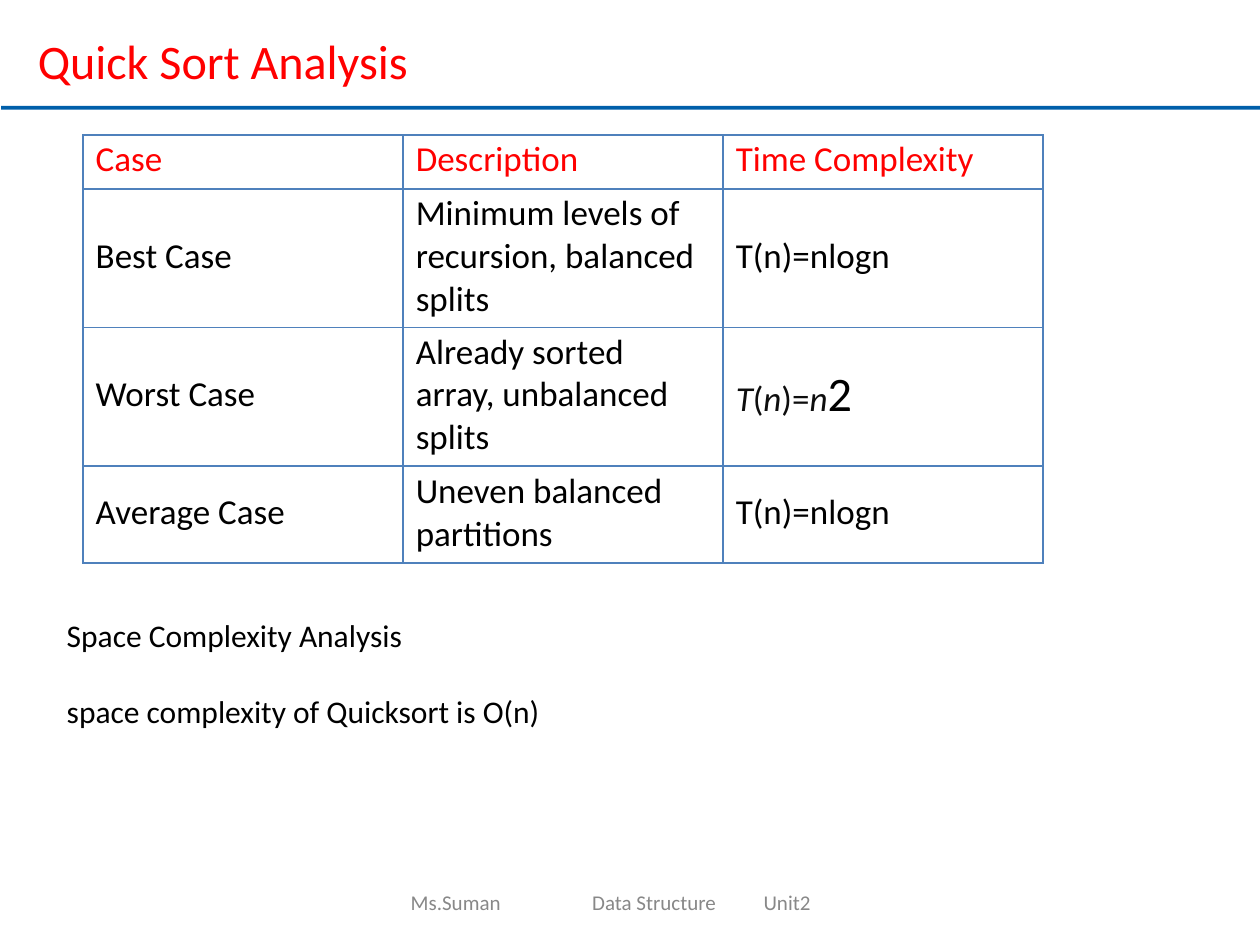
from dataclasses import dataclass

from lxml.etree import SubElement
from pptx import Presentation
from pptx.dml.color import RGBColor
from pptx.enum.shapes import MSO_SHAPE
from pptx.enum.text import MSO_ANCHOR, PP_ALIGN
from pptx.oxml.ns import qn
from pptx.util import Inches, Pt


@dataclass(frozen=True)
class Theme:
    font: str = "Calibri"
    red: str = "FF0000"
    black: str = "000000"
    formula: str = "0D0D0D"
    grey: str = "888888"
    rule: str = "005FAA"
    border: str = "4F81BC"
    title_size: float = 27.5
    table_size: float = 20
    body_size: float = 18
    footer_size: float = 12


theme = Theme()


def add_span(para, text, size, color, italic=False):
    span = para.add_run()
    span.text = text
    look = {"name": theme.font, "size": Pt(size), "bold": False, "italic": italic}
    for name, value in look.items():
        setattr(span.font, name, value)
    span.font.color.rgb = RGBColor.from_string(color)


def format_frame(frame, left, top, wrap=True):
    """Set the left and top insets, with none on the other sides."""
    look = {"margin_left": Inches(left), "margin_top": Inches(top),
            "margin_right": 0, "margin_bottom": 0,
            "word_wrap": wrap, "vertical_anchor": MSO_ANCHOR.TOP}
    for name, value in look.items():
        setattr(frame, name, value)


deck = Presentation()
deck.slide_width, deck.slide_height = Inches(10), Inches(7.5)
page = deck.slides.add_slide(deck.slide_layouts[5])

# Title and the rule below it
title = page.shapes.title
title.left, title.top = Inches(0.08), Inches(0.14)
title.width, title.height = Inches(9.17), Inches(0.63)
format_frame(title.text_frame, 0.22, 0.11)
para = title.text_frame.paragraphs[0]
para.alignment = PP_ALIGN.LEFT
add_span(para, "Quick Sort Analysis", theme.title_size, theme.red)

rule = page.shapes.add_shape(MSO_SHAPE.RECTANGLE, Inches(0.01), Inches(0.84),
                             Inches(9.99), Inches(0.03))
rule.shadow.inherit = False
rule.fill.solid()
rule.fill.fore_color.rgb = RGBColor.from_string(theme.rule)
rule.line.fill.background()

# Table of cases
rows = [
    ("Case", "Description", "Time Complexity"),
    ("Best Case", "Minimum levels of recursion, balanced splits", "T(n)=nlogn"),
    ("Worst Case", "Already sorted array, unbalanced splits", "T(n)=n2"),
    ("Average Case", "Uneven balanced partitions", "T(n)=nlogn"),
]
row_heights = [0.43, 1.1, 1.1, 0.77]
table = page.shapes.add_table(len(rows), 3, Inches(0.66), Inches(1.07),
                              Inches(7.62), Inches(sum(row_heights))).table
table.first_row = table.horz_banding = False
for column in table.columns:
    column.width = Inches(2.54)

for row_index, (texts, height) in enumerate(zip(rows, row_heights)):
    table.rows[row_index].height = Inches(height)
    for column_index, text in enumerate(texts):
        cell = table.cell(row_index, column_index)
        look = {"margin_left": Inches(0.1), "margin_right": Inches(0.2),
                "margin_top": 0, "margin_bottom": Inches(0.03),
                "vertical_anchor": MSO_ANCHOR.MIDDLE}
        for name, value in look.items():
            setattr(cell, name, value)
        para = cell.text_frame.paragraphs[0]
        if text == "T(n)=n2":
            for part in ("T", "(", "n", ")=", "n"):
                add_span(para, part, theme.table_size, theme.formula, part.isalpha())
            add_span(para, "2", theme.title_size, theme.black)
        else:
            add_span(para, text, theme.table_size,
                     theme.black if row_index else theme.red)
        properties = cell._tc.get_or_add_tcPr()
        for side in ("a:lnL", "a:lnR", "a:lnT", "a:lnB"):
            line = SubElement(properties, qn(side), w=str(Pt(1)))
            fill = SubElement(line, qn("a:solidFill"))
            SubElement(fill, qn("a:srgbClr"), val=theme.border)
        cell.fill.background()

# Space complexity and footer: left, top, width, height, size, colour, wrap, lines
notes = [
    (0.52, 4.87, 3.8, 0.93, theme.body_size, theme.black, True,
     ["Space Complexity Analysis", "space complexity of Quicksort is O(n)"]),
    (3.25, 7.04, 1.05, 0.4, theme.footer_size, theme.grey, False, ["Ms.Suman"]),
    (4.69, 7.04, 1.05, 0.23, theme.footer_size, theme.grey, False, ["Data Structure"]),
    (6.05, 7.04, 0.39, 0.23, theme.footer_size, theme.grey, False, ["Unit2"]),
]
for left, top, width, height, size, color, wrap, lines in notes:
    box = page.shapes.add_textbox(Inches(left), Inches(top), Inches(width), Inches(height))
    frame = box.text_frame
    format_frame(frame, 0.01, 0.02, wrap)
    for index, text in enumerate(lines):
        para = frame.add_paragraph() if index else frame.paragraphs[0]
        if index:
            para.space_before = Pt(22)
        add_span(para, text, size, color)

deck.save("out.pptx")
